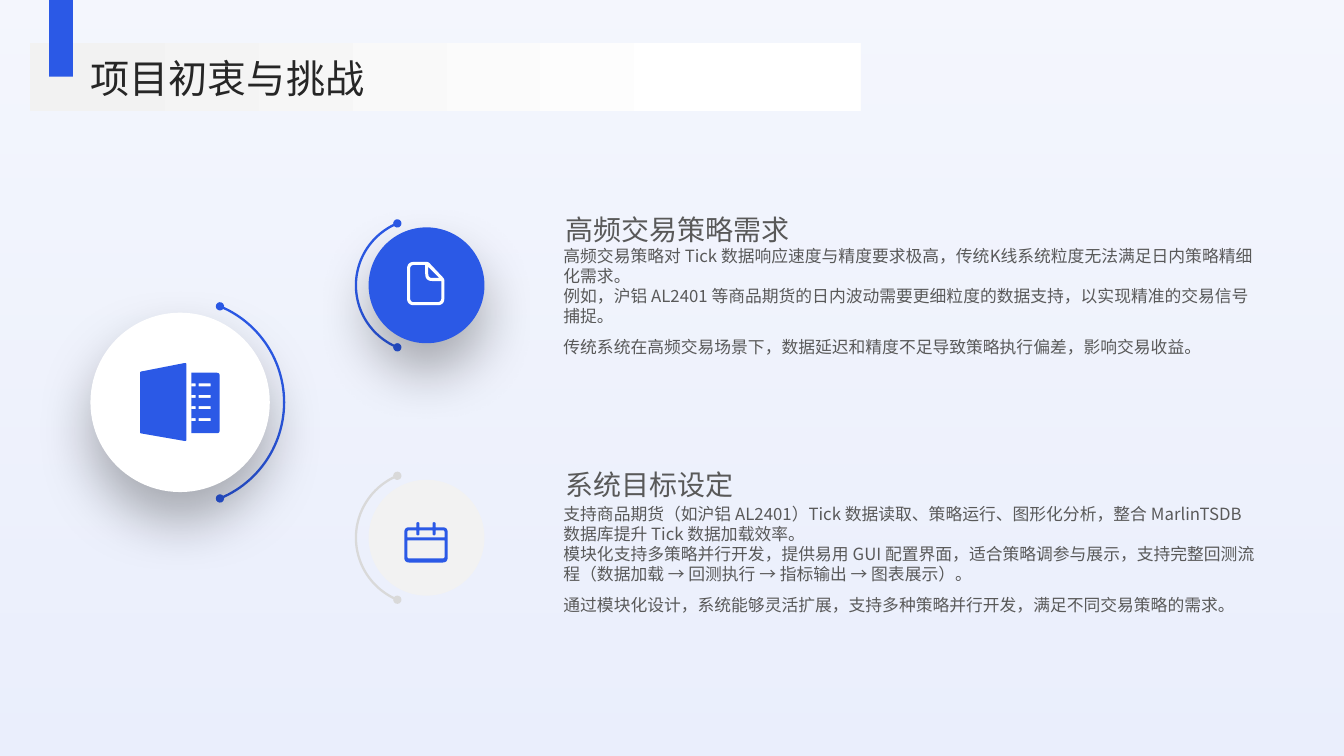
from math import cos, hypot, radians, sin

from lxml.etree import SubElement
from pptx import Presentation
from pptx.dml.color import RGBColor
from pptx.enum.shapes import MSO_SHAPE as Preset
from pptx.enum.text import MSO_ANCHOR as Anchor
from pptx.oxml.ns import qn
from pptx.util import Cm, Pt

FONT = "Noto Sans CJK SC"
BLUE, WHITE, PALE, GREY = "2B59E6", "FFFFFF", "F2F2F2", "D9D9D9"
TITLE = "项目初衷与挑战"
SECTIONS = [
    {"heading": "高频交易策略需求", "heading_top": 4.93, "body_top": 6.2, "lines": [
        "高频交易策略对 Tick 数据响应速度与精度要求极高，传统K线系统粒度无法满足日内策略精细化需求。",
        "例如，沪铝 AL2401 等商品期货的日内波动需要更细粒度的数据支持，以实现精准的交易信号捕捉。",
        "传统系统在高频交易场景下，数据延迟和精度不足导致策略执行偏差，影响交易收益。"]},
    {"heading": "系统目标设定", "heading_top": 11.35, "body_top": 12.7, "lines": [
        "支持商品期货（如沪铝 AL2401）Tick 数据读取、策略运行、图形化分析，整合 MarlinTSDB 数据库提升 Tick 数据加载效率。",
        "模块化支持多策略并行开发，提供易用 GUI 配置界面，适合策略调参与展示，支持完整回测流程"
        "（数据加载 → 回测执行 → 指标输出 → 图表展示）。",
        "通过模块化设计，系统能够灵活扩展，支持多种策略并行开发，满足不同交易策略的需求。"]},
]

ICON_UNIT = 0.0254
DOCUMENT = [
    [(0, 0, 7), (21, 0, 2), (37, 17, 2), (37, 43, 7), (0, 43, 7)],
    [(21, 5), (32, 16), (21, 16, 4)],
    [(3, 3, 4), (18, 3), (18, 19, 7), (34, 19), (34, 40, 4), (3, 40, 4)],
]
CALENDAR = [
    [(0, 5, 5), (12, 5), (12, 0, 1.5), (15, 0, 1.5), (15, 5), (28, 5), (28, 0, 1.5),
     (31, 0, 1.5), (31, 5), (43, 5, 5), (43, 40, 5), (0, 40, 5)],
    [(3, 8, 2), (12, 8), (12, 13, 1.5), (15, 13, 1.5), (15, 8), (28, 8), (28, 13, 1.5),
     (31, 13, 1.5), (31, 8), (40, 8, 2), (40, 15), (3, 15)],
    [(3, 18), (40, 18), (40, 36, 2), (3, 36, 2)],
]
LEDGER = [
    [(0, 9, 1), (46, 0, 2), (46, 78, 2), (0, 70, 1)],
    [(51, 10), (79, 10, 3), (79, 70, 3), (51, 70)],
] + [[(left, top), (right, top), (right, top + 3), (left, top + 3)]
     for top in (20.5, 32, 43, 55) for left, right in ((51, 55), (58, 70))]

BADGES = [
    {"centre": (10.75, 7.19), "radius": 1.46, "fill": BLUE, "shadow": True,
     "arc": (10.66, 1.69, 180, BLUE), "icon": DOCUMENT, "icon_at": (10.26, 6.6), "ink": WHITE},
    {"centre": (4.54, 10.14), "radius": 2.26, "fill": WHITE, "shadow": True,
     "arc": (4.54, 2.62, 0, BLUE), "icon": LEDGER, "icon_at": (3.53, 9.14), "ink": BLUE},
    {"centre": (10.75, 13.55), "radius": 1.46, "fill": PALE, "shadow": False,
     "arc": (10.66, 1.69, 180, GREY), "icon": CALENDAR, "icon_at": (10.19, 13.16), "ink": BLUE},
]

deck = Presentation()
deck.slide_width, deck.slide_height = Cm(33.87), Cm(19.05)
page = deck.slides.add_slide(deck.slide_layouts[6])


def colour(code):
    return RGBColor.from_string(code)


def add_preset(preset, left, top, width, height, fill=None):
    shape = page.shapes.add_shape(preset, Cm(left), Cm(top), Cm(width), Cm(height))
    shape.shadow.inherit = False
    shape.line.fill.background()
    if fill:
        shape.fill.solid()
        shape.fill.fore_color.rgb = colour(fill)
    return shape


def shade(shape, angle, stops):
    shape.fill.gradient()
    shape.fill.gradient_angle = angle
    for stop, (position, code, alpha) in zip(shape.fill.gradient_stops, stops):
        stop.position = position
        stop.color.rgb = colour(code)
    for element, (position, code, alpha) in zip(shape.element.spPr.iter(qn("a:srgbClr")), stops):
        SubElement(element, qn("a:alpha"), val=str(alpha * 1000))


def drop_shadow(shape):
    effects = shape.element.spPr.find(qn("a:effectLst"))
    outer = SubElement(effects, qn("a:outerShdw"), blurRad=str(Pt(40)), dist=str(Pt(20)),
                       dir="5400000", algn="t", rotWithShape="0")
    black = SubElement(outer, qn("a:srgbClr"), val="000000")
    SubElement(black, qn("a:alpha"), val="30000")


def add_outline(contours, close):
    drawn = [[(Cm(x), Cm(y)) for x, y in contour] for contour in contours]
    builder = page.shapes.build_freeform(*drawn[0][0], scale=1.0)
    for index, contour in enumerate(drawn):
        if index:
            builder.move_to(*contour[0])
        builder.add_line_segments(contour[1:], close=close)
    shape = builder.convert_to_shape()
    shape.shadow.inherit = False
    return shape


def round_corners(corners):
    points = []
    for index, (x, y, *radius) in enumerate(corners):
        if not radius:
            points.append((x, y))
            continue
        ends = []
        for near in (corners[index - 1], corners[(index + 1) % len(corners)]):
            share = radius[0] / hypot(near[0] - x, near[1] - y)
            ends.append((x + (near[0] - x) * share, y + (near[1] - y) * share))
        (ax, ay), (bx, by) = ends
        for step in range(7):
            t = step / 6
            a, c, b = (1 - t) ** 2, 2 * t * (1 - t), t * t
            points.append((a * ax + c * x + b * bx, a * ay + c * y + b * by))
    return points


def add_icon(contours, left, top, ink):
    shape = add_outline([[(left + x * ICON_UNIT, top + y * ICON_UNIT)
                          for x, y in round_corners(corners)] for corners in contours], True)
    shape.fill.solid()
    shape.fill.fore_color.rgb = colour(ink)
    shape.line.fill.background()


def add_arc(x, y, radius, facing, ink):
    angles = [radians(facing - 67.5 + 2.5 * step) for step in range(55)]
    shape = add_outline([[(x + radius * cos(a), y + radius * sin(a)) for a in angles]], False)
    shape.fill.background()
    shape.line.color.rgb = colour(ink)
    shape.line.width = Pt(1.63)
    line = shape.element.spPr.find(qn("a:ln"))
    for end in ("a:headEnd", "a:tailEnd"):
        SubElement(line, qn(end), type="oval")


def add_text(lines, left, top, width, height, size, ink="595959", spacing=1.0,
             anchor=Anchor.TOP, last_gap=0):
    box = page.shapes.add_textbox(Cm(left), Cm(top), Cm(width), Cm(height))
    frame = box.text_frame
    frame.word_wrap = True
    frame.vertical_anchor = anchor
    frame.margin_left = frame.margin_right = frame.margin_top = frame.margin_bottom = 0
    for index, line in enumerate(lines):
        para = frame.paragraphs[0] if index == 0 else frame.add_paragraph()
        para.line_spacing = spacing
        if index and index == len(lines) - 1:
            para.space_before = Pt(last_gap)
        span = para.add_run()
        span.text = line
        span.font.size = Pt(size)
        span.font.name = FONT
        span.font.color.rgb = colour(ink)
        SubElement(span.font._element, qn("a:ea"), typeface=FONT)


backdrop = add_preset(Preset.RECTANGLE, 0, 0, 33.87, 19.05)
shade(backdrop, 90, [(0, "D5DEFA", 49), (1, "D5DEFA", 25)])

for badge in BADGES:
    x, y = badge["centre"]
    radius = badge["radius"]
    arc_x, arc_radius, facing, arc_ink = badge["arc"]
    add_arc(arc_x, y, arc_radius, facing, arc_ink)
    disc = add_preset(Preset.OVAL, x - radius, y - radius, 2 * radius, 2 * radius, badge["fill"])
    if badge["shadow"]:
        drop_shadow(disc)
    add_icon(badge["icon"], *badge["icon_at"], badge["ink"])

for section in SECTIONS:
    add_text([section["heading"]], 14.25, section["heading_top"], 13.26, 0.94, 20, spacing=Pt(36))
    add_text(section["lines"], 14.2, section["body_top"], 17.42, 3.3, 12,
             spacing=Pt(14.3), last_gap=7.5)

banner = add_preset(Preset.RECTANGLE, 0.76, 1.09, 20.93, 1.7)
shade(banner, 0, [(0.05, PALE, 100), (0.84, WHITE, 100)])
add_preset(Preset.RECTANGLE, 1.24, 0, 0.6, 1.93, BLUE)
add_text([TITLE], 2.28, 1.32, 29.72, 1.3, 28, ink="262626", anchor=Anchor.MIDDLE)

deck.save("out.pptx")
